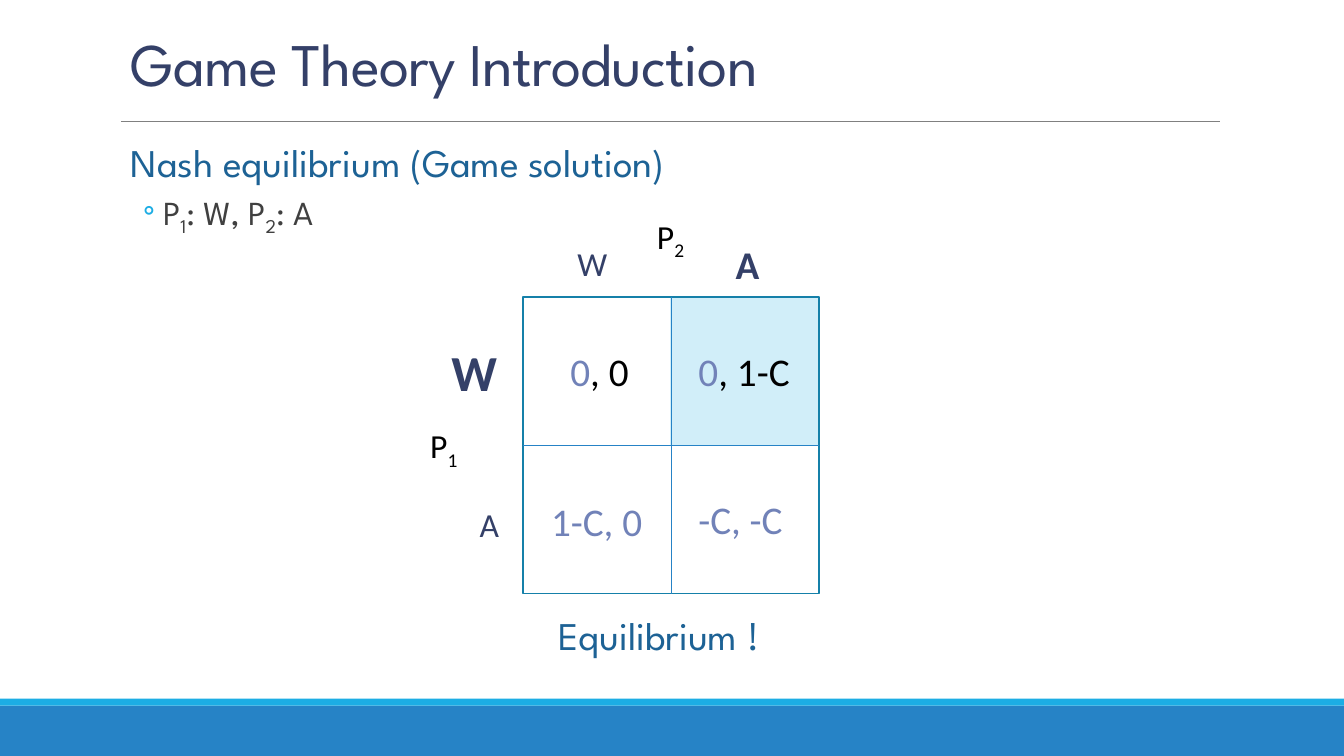
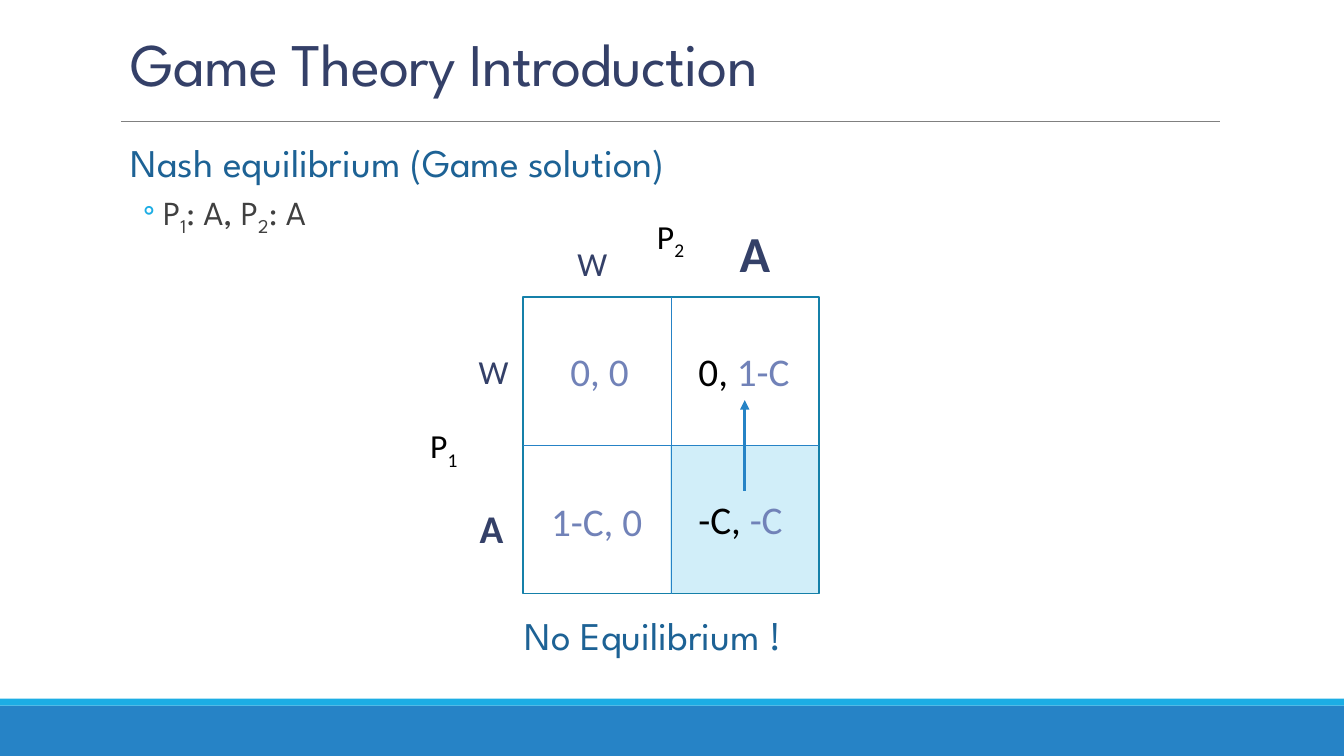
from lxml import etree
from pptx import Presentation
from pptx.dml.color import RGBColor
from pptx.enum.shapes import MSO_CONNECTOR, MSO_SHAPE
from pptx.enum.text import MSO_ANCHOR, MSO_AUTO_SIZE, PP_ALIGN
from pptx.oxml.ns import qn
from pptx.util import Pt

RECTANGLE = MSO_SHAPE.RECTANGLE
STRAIGHT = MSO_CONNECTOR.STRAIGHT
TOP, BOTTOM = MSO_ANCHOR.TOP, MSO_ANCHOR.BOTTOM
GROW, FIXED = MSO_AUTO_SIZE.SHAPE_TO_FIT_TEXT, MSO_AUTO_SIZE.NONE
LEFT = PP_ALIGN.LEFT

BLUE = RGBColor(0x26, 0x83, 0xC6)
CYAN = RGBColor(0x1C, 0xAD, 0xE4)
GRAY = RGBColor(0x80, 0x80, 0x80)
NAVY = RGBColor(0x34, 0x40, 0x68)
HEADING = RGBColor(0x1D, 0x62, 0x95)
BODY = RGBColor(0x40, 0x40, 0x40)
BLACK = RGBColor(0, 0, 0)
PAYOFF = RGBColor(0x71, 0x82, 0xB8)
FRAME = RGBColor(0x15, 0x80, 0xA9)
HIGHLIGHT = RGBColor(0xA4, 0xDE, 0xF4)
HIGHLIGHT_EDGE = RGBColor(0xD2, 0xEF, 0xFA)

DISPLAY_FONT = "League Spartan"
TEXT_FONT = "Calibri"
SLIDE_WIDTH, SLIDE_HEIGHT = 960, 540
MATRIX_LEFT, MATRIX_TOP, CELL = 373.7, 212.4, 105.8
LINE_HEIGHT = {24: 36, 28: 41, 36: 51}


def write_text(paragraph, text, *, size, color, font=TEXT_FONT, bold=False, spacing=None):
    def add_run(content, baseline=None):
        run = paragraph.add_run()
        run.text = content
        run.font.size = Pt(size)
        run.font.name = font
        run.font.bold = bold
        run.font.color.rgb = color
        properties = run._r.get_or_add_rPr()
        if baseline:
            properties.set("baseline", str(baseline))
        if spacing:
            properties.set("spc", str(spacing))

    first, *rest = text.split("_")
    add_run(first)
    for piece in rest:
        add_run(piece[0], baseline=-25000)
        if piece[1:]:
            add_run(piece[1:])


class Deck:
    def __init__(self):
        self.presentation = Presentation()
        self.presentation.slide_width = Pt(SLIDE_WIDTH)
        self.presentation.slide_height = Pt(SLIDE_HEIGHT)
        self.slide = None

    def new_slide(self, title):
        self.slide = self.presentation.slides.add_slide(self.presentation.slide_layouts[6])
        self.rectangle(0, 504, SLIDE_WIDTH, 36, fill=BLUE)
        self.rectangle(0, 499, SLIDE_WIDTH, 5, fill=CYAN)
        self.line((86.4, 87), (871.2, 87), GRAY, 0.5)
        frame = self.text_frame(86.4, 18, 792, 56, wrap=True, anchor=BOTTOM)
        paragraph = frame.paragraphs[0]
        paragraph.line_spacing = 0.85
        write_text(paragraph, title, size=43.2, color=NAVY, font=DISPLAY_FONT, spacing=-50)

    def rectangle(self, left, top, width, height, fill=None, line=None, opacity=None):
        shape = self.slide.shapes.add_shape(RECTANGLE, Pt(left), Pt(top), Pt(width), Pt(height))
        shape.shadow.inherit = False
        if fill is None:
            shape.fill.background()
        else:
            shape.fill.solid()
            shape.fill.fore_color.rgb = fill
        if opacity:
            color = shape._element.spPr.find(qn("a:solidFill"))[0]
            etree.SubElement(color, qn("a:alpha"), val=str(opacity * 1000))
        if line is None:
            shape.line.fill.background()
        else:
            shape.line.color.rgb = line
            shape.line.width = Pt(1.25)
        return shape

    def line(self, start, end, color, width, arrow=False):
        points = [Pt(value) for value in (*start, *end)]
        connector = self.slide.shapes.add_connector(STRAIGHT, *points)
        connector.line.color.rgb = color
        connector.line.width = Pt(width)
        if arrow:
            outline = connector._element.spPr.find(qn("a:ln"))
            etree.SubElement(outline, qn("a:tailEnd"), type="triangle")
        etree.SubElement(connector._element.spPr, qn("a:effectLst"))
        return connector

    def text_frame(self, left, top, width, height, wrap=False, anchor=TOP):
        box = self.slide.shapes.add_textbox(Pt(left), Pt(top), Pt(width), Pt(height))
        frame = box.text_frame
        frame.word_wrap = wrap
        frame.auto_size = FIXED if wrap else GROW
        frame.vertical_anchor = anchor
        frame.paragraphs[0].alignment = LEFT
        return frame

    def label(self, left, top, width, *pieces, size=24, font=TEXT_FONT, bold=False):
        frame = self.text_frame(left, top, width, LINE_HEIGHT[size])
        for text, color in pieces:
            write_text(frame.paragraphs[0], text, size=size, color=color, font=font, bold=bold)

    def body(self, heading, strategies):
        frame = self.text_frame(86.4, 99.4, 792, 391, wrap=True)
        frame.margin_left = frame.margin_right = 0
        paragraph = frame.paragraphs[0]
        self.set_spacing(paragraph, 12, 2)
        paragraph._p.get_or_add_pPr().set("marL", str(Pt(7.2)))
        write_text(paragraph, heading, size=28, color=HEADING, font=DISPLAY_FONT)

        paragraph = frame.add_paragraph()
        paragraph.level = 1
        self.set_spacing(paragraph, 2, 4)
        properties = paragraph._p.get_or_add_pPr()
        properties.set("marL", str(Pt(30.2)))
        properties.set("indent", str(Pt(-14.4)))
        bullet_color = etree.SubElement(properties, qn("a:buClr"))
        etree.SubElement(bullet_color, qn("a:srgbClr"), val=str(CYAN))
        etree.SubElement(properties, qn("a:buFont"), typeface=TEXT_FONT)
        etree.SubElement(properties, qn("a:buChar"), char="◦")
        write_text(paragraph, strategies, size=24, color=BODY, font=DISPLAY_FONT)

    def set_spacing(self, paragraph, before, after):
        paragraph.line_spacing = 0.9
        paragraph.space_before = Pt(before)
        paragraph.space_after = Pt(after)

    def matrix(self, payoffs):
        side = 2 * CELL
        frame = self.rectangle(MATRIX_LEFT, MATRIX_TOP, side, side, line=FRAME)
        for begin, end in ((0, 2), (1, 3)):
            divider = self.line((0, 0), (0, 0), BLUE, 1)
            divider.begin_connect(frame, begin)
            divider.end_connect(frame, end)
        self.label(462.2, 150.5, 35.3, ("P_2", BLACK))
        self.label(300.2, 300.2, 35.3, ("P_1", BLACK))
        places = ((400.3, 244.8, 56.9), (491.8, 244.8, 80.6),
                  (386.6, 352, 87.1), (491.8, 350.6, 75.6))
        for place, pieces in zip(places, payoffs):
            self.label(*place, *pieces, size=28)

    def game(self, strategies, highlight_row, payoffs, choices, verdict):
        self.new_slide("Game Theory Introduction")
        self.rectangle(MATRIX_LEFT + CELL, MATRIX_TOP + highlight_row * CELL, CELL, CELL,
                       fill=HIGHLIGHT, line=HIGHLIGHT_EDGE, opacity=50)
        self.body("Nash equilibrium (Game solution)", strategies)
        self.matrix(payoffs)
        for text, left, top, width, size in choices:
            self.label(left, top, width, (text, NAVY), size=size, bold=size > 24)
        text, left, width = verdict
        self.label(left, 433, width, (text, HEADING), size=28, font=DISPLAY_FONT)


def main():
    deck = Deck()
    column_w = ("W", 405.4, 169.9, 36, 24)
    deck.game(
        "P_1: W, P_2: A", 0,
        [[("0", PAYOFF), (", 0", BLACK)], [("0", PAYOFF), (", 1-C", BLACK)],
         [("1-C, 0", PAYOFF)], [("-C, -C", PAYOFF)]],
        [column_w, ("W", 315.4, 239.8, 47.5, 36),
         ("A", 518.4, 167.8, 31.7, 28), ("A", 335.5, 356.4, 28.8, 24)],
        ("Equilibrium !", 391.7, 176.4))
    deck.game(
        "P_1: A, P_2: A", 1,
        [[("0, 0", PAYOFF)], [("0, ", BLACK), ("1-C", PAYOFF)],
         [("1-C, 0", PAYOFF)], [("-C, ", BLACK), ("-C", PAYOFF)]],
        [column_w, ("W", 334.8, 247, 36, 24),
         ("A", 335.5, 356.4, 31.7, 28), ("A", 521.3, 154.8, 36.7, 36)],
        ("No Equilibrium !", 367.9, 223.9))
    deck.line((532, 350.6), (532, 285.8), BLUE, 2.25, arrow=True)
    deck.presentation.save("out.pptx")


if __name__ == "__main__":
    main()
